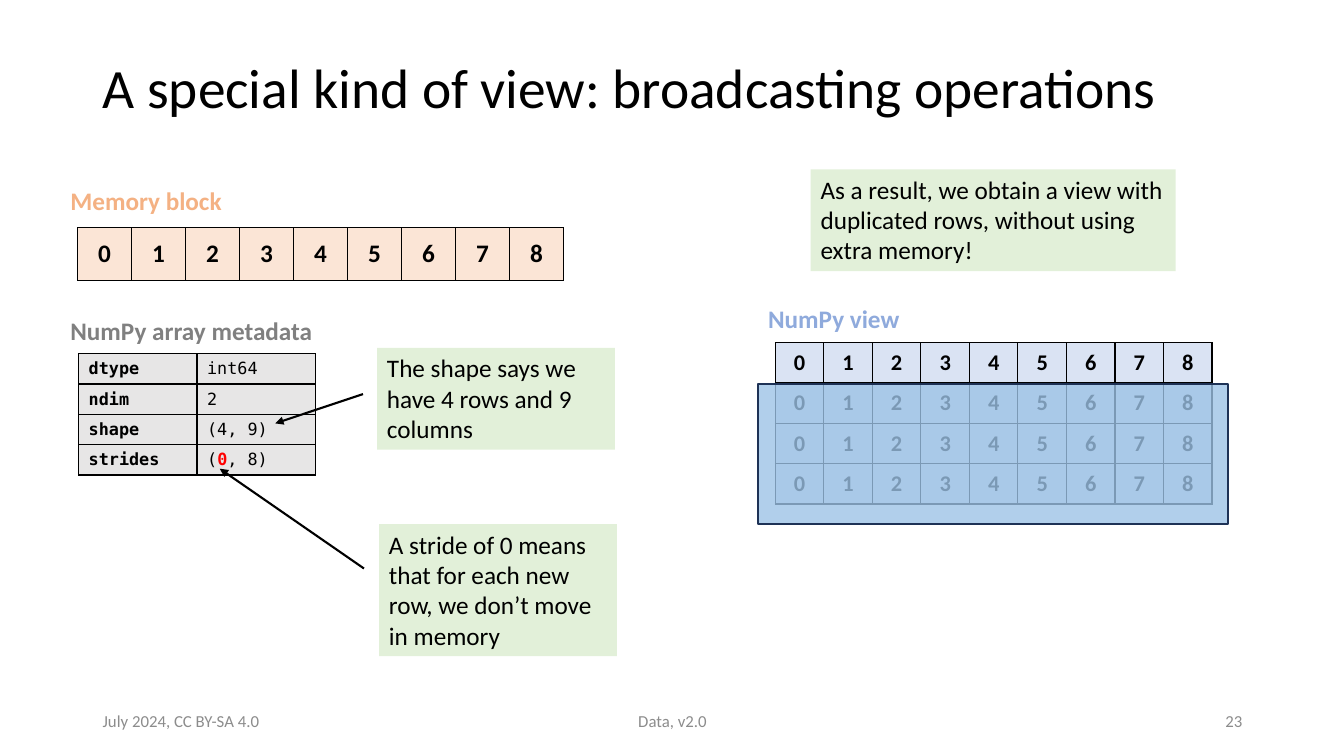
from dataclasses import dataclass

from lxml.etree import SubElement
from pptx import Presentation
from pptx.dml.color import RGBColor
from pptx.enum.shapes import MSO_CONNECTOR, MSO_SHAPE
from pptx.enum.text import MSO_ANCHOR, PP_ALIGN
from pptx.oxml.ns import qn
from pptx.util import Inches, Pt


@dataclass(frozen=True)
class Theme:
    font: str = "Calibri"
    mono: str = "DejaVu Sans Mono"
    title_size: float = 39.6
    body_size: int = 18
    view_size: int = 16
    small_size: int = 12
    ink: str = "000000"
    footer: str = "8C8C8C"
    memory_label: str = "F4B183"
    memory_fill: str = "FBE5D6"
    metadata_label: str = "808080"
    metadata_fill: str = "E7E6E6"
    view_label: str = "8FAADC"
    view_fill: str = "DAE3F3"
    callout_fill: str = "E2F0D9"
    veil_fill: str = "9DC3E6"
    veil_line: str = "1E3256"
    emphasis: str = "FF0000"


theme = Theme()


def write(frame, text, size=theme.body_size, color=theme.ink, bold=False,
          font=theme.font, align=PP_ALIGN.LEFT, anchor=MSO_ANCHOR.TOP, spacing=None):
    frame.word_wrap = True
    frame.vertical_anchor = anchor
    paragraph = frame.paragraphs[0]
    paragraph.alignment = align
    paragraph.line_spacing = spacing
    run = paragraph.add_run()
    run.text = text
    run.font.name = font
    run.font.size = Pt(size)
    run.font.bold = bold
    run.font.color.rgb = RGBColor.from_string(color)


def add_grid(left, top, width, height, rows, columns, fill):
    grid = slide.shapes.add_table(rows, columns, Inches(left), Inches(top),
                                  Inches(width), Inches(height)).table
    grid.first_row = grid.horz_banding = False
    for column in grid.columns:
        column.width = Inches(width / columns)
    for row in grid.rows:
        row.height = Inches(height / rows)
    for cell in grid.iter_cells():
        properties = cell._tc.get_or_add_tcPr()
        for side in ("a:lnL", "a:lnR", "a:lnT", "a:lnB"):
            border = SubElement(properties, qn(side), w=str(Pt(1)))
            SubElement(SubElement(border, qn("a:solidFill")), qn("a:srgbClr"), val=theme.ink)
        cell.fill.solid()
        cell.fill.fore_color.rgb = RGBColor.from_string(fill)
        cell.vertical_anchor = MSO_ANCHOR.MIDDLE
    return grid


deck = Presentation()
deck.slide_width, deck.slide_height = Inches(13.33), Inches(7.5)
slide = deck.slides.add_slide(deck.slide_layouts[6])

title = slide.shapes.add_textbox(Inches(0.92), Inches(0.4), Inches(11.5), Inches(0.99))
write(title.text_frame, "A special kind of view: broadcasting operations",
      size=theme.title_size, anchor=MSO_ANCHOR.MIDDLE, spacing=0.9)

for left, width, text, align in (
    (0.92, 3, "July 2024, CC BY-SA 4.0", PP_ALIGN.LEFT),
    (4.42, 4.5, "Data, v2.0", PP_ALIGN.CENTER),
    (9.42, 3, "23", PP_ALIGN.RIGHT),
):
    footer = slide.shapes.add_textbox(Inches(left), Inches(6.95), Inches(width), Inches(0.4))
    write(footer.text_frame, text, size=theme.small_size, color=theme.footer,
          align=align, anchor=MSO_ANCHOR.MIDDLE)

for left, top, width, text, color in (
    (0.6, 1.79, 2.13, "Memory block", theme.memory_label),
    (7.52, 2.96, 2.13, "NumPy view", theme.view_label),
    (0.6, 3.08, 2.83, "NumPy array metadata", theme.metadata_label),
):
    heading = slide.shapes.add_textbox(Inches(left), Inches(top), Inches(width), Inches(0.4))
    write(heading.text_frame, text, color=color, bold=True)

memory_block = add_grid(0.77, 2.26, 4.82, 0.52, 1, 9, theme.memory_fill)
numpy_view = add_grid(7.69, 3.4, 4.33, 1.6, 4, 9, theme.view_fill)
for cell in numpy_view.iter_cells():
    cell.margin_left = cell.margin_right = Inches(0.12)
    cell.margin_top = cell.margin_bottom = Inches(0.06)
for grid, size in ((memory_block, theme.body_size), (numpy_view, theme.view_size)):
    for index, cell in enumerate(grid.iter_cells()):
        write(cell.text_frame, str(index % 9), size=size, bold=True,
              align=PP_ALIGN.CENTER, anchor=MSO_ANCHOR.MIDDLE)

metadata = add_grid(0.78, 3.51, 2.35, 1.2, 4, 2, theme.metadata_fill)
plain, strong, zero = (theme.ink, False), (theme.ink, True), (theme.emphasis, True)
for row, (field, values) in enumerate((
    ("dtype", [("int64", plain)]),
    ("ndim", [("2", plain)]),
    ("shape", [("(4, 9)", plain)]),
    ("strides", [("(", plain), ("0", zero), (", 8)", plain)]),
)):
    for column, pieces in enumerate(([(field, strong)], values)):
        for text, (color, bold) in pieces:
            write(metadata.cell(row, column).text_frame, text, size=theme.small_size,
                  color=color, bold=bold, font=theme.mono, anchor=MSO_ANCHOR.MIDDLE)

for left, top, width, height, text in (
    (3.76, 5.2, 2.36, 1.31, "A stride of 0 means that for each new row, we don’t move in memory"),
    (8.04, 1.68, 3.62, 1.01,
     "As a result, we obtain a view with duplicated rows, without using extra memory!"),
    (3.74, 3.45, 2.36, 1.01, "The shape says we have 4 rows and 9 columns"),
):
    callout = slide.shapes.add_textbox(Inches(left), Inches(top), Inches(width), Inches(height))
    callout.fill.solid()
    callout.fill.fore_color.rgb = RGBColor.from_string(theme.callout_fill)
    write(callout.text_frame, text)

for start_x, start_y, end_x, end_y in ((3.61, 5.64, 2.18, 4.65), (3.6, 3.91, 2.73, 4.2)):
    arrow = slide.shapes.add_connector(MSO_CONNECTOR.STRAIGHT, Inches(start_x), Inches(start_y),
                                       Inches(end_x), Inches(end_y))
    arrow.line.color.rgb = RGBColor.from_string(theme.ink)
    arrow.line.width = Pt(1.5)
    SubElement(arrow.line._get_or_add_ln(), qn("a:tailEnd"), type="triangle")
    SubElement(arrow._element.spPr, qn("a:effectLst"))

veil = slide.shapes.add_shape(MSO_SHAPE.RECTANGLE, Inches(7.52), Inches(3.81),
                              Inches(4.66), Inches(1.39))
veil.shadow.inherit = False
veil.fill.solid()
veil.fill.fore_color.rgb = RGBColor.from_string(theme.veil_fill)
veil_color = veil._element.spPr.find(qn("a:solidFill")).find(qn("a:srgbClr"))
SubElement(veil_color, qn("a:alpha"), val="79000")
veil.line.color.rgb = RGBColor.from_string(theme.veil_line)
veil.line.width = Pt(1)

deck.save("out.pptx")
